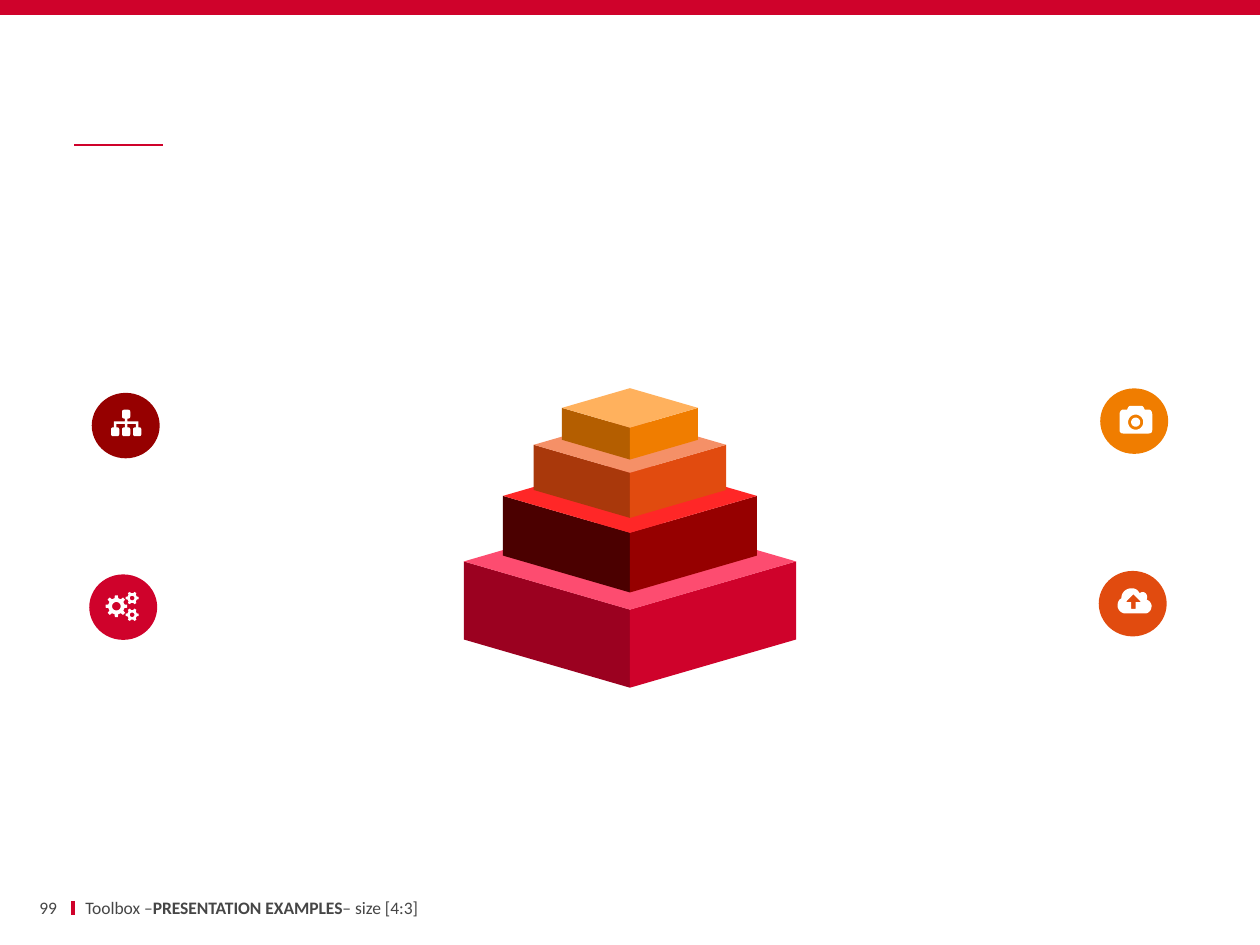
from dataclasses import dataclass
from math import cos, pi, sin

from lxml.etree import SubElement
from pptx import Presentation
from pptx.dml.color import RGBColor
from pptx.enum.shapes import MSO_CONNECTOR, MSO_SHAPE
from pptx.enum.text import MSO_ANCHOR, PP_ALIGN
from pptx.oxml.ns import qn
from pptx.util import Cm, Pt


@dataclass(frozen=True)
class Theme:
    font: str = "Calibri"
    footer_size: int = 10
    text: str = "464646"
    white: str = "FFFFFF"
    crimson: str = "CF022B"
    maroon: str = "960000"
    rust: str = "E14B0F"
    orange: str = "F07D00"


THEME = Theme()
SLIDE_WIDTH, SLIDE_HEIGHT = 25.4, 19.05
BADGE_WIDTH, BADGE_HEIGHT = 1.37, 1.32
ICON_UNIT = 0.0254  # cm per step of the icon drawing grid

# Front top corner y, half width, then left, right and top face colours
TIERS = [
    (12.29, 3.35, "9B0120", THEME.crimson, "FD4C70"),
    (10.74, 2.56, "4B0000", THEME.maroon, "FF2727"),
    (9.53, 1.94, "A9380B", THEME.rust, "F59067"),
    (8.62, 1.37, "B45E00", THEME.orange, "FFB15D"),
]
TIER_DEPTH, TIER_RISE = 0.29, 0.47  # as shares of the half width


def paint(shape, colour):
    shape.shadow.inherit = False
    shape.fill.solid()
    shape.fill.fore_color.rgb = RGBColor.from_string(colour)
    shape.line.fill.background()


def add_preset(slide, kind, left, top, width, height, colour):
    shape = slide.shapes.add_shape(kind, Cm(left), Cm(top), Cm(width), Cm(height))
    paint(shape, colour)


def add_outline(slide, contours, colour, left=0, top=0, unit=1):
    """Draw closed contours as one shape; inner contours become holes."""
    rings = [[(Cm(left + x * unit), Cm(top + y * unit)) for x, y in ring]
             for ring in contours]
    builder = slide.shapes.build_freeform(*rings[0][0], scale=1.0)
    for index, ring in enumerate(rings):
        if index:
            builder.move_to(*ring[0])
        builder.add_line_segments(ring[1:], close=True)
    paint(builder.convert_to_shape(), colour)


def add_rule(slide, start, end, weight):
    rule = slide.shapes.add_connector(
        MSO_CONNECTOR.STRAIGHT, *(Cm(value) for value in start + end))
    rule.line.color.rgb = RGBColor.from_string(THEME.crimson)
    rule.line.width = Pt(weight)
    SubElement(rule._element.spPr, qn("a:effectLst"))


def add_text(slide, runs, left, top, width, height, align=PP_ALIGN.LEFT, side_inset=0.25):
    """Add one line of text from (wording, bold) runs."""
    frame = slide.shapes.add_textbox(Cm(left), Cm(top), Cm(width), Cm(height)).text_frame
    frame.word_wrap = True
    frame.vertical_anchor = MSO_ANCHOR.MIDDLE
    frame.margin_left = frame.margin_right = Cm(side_inset)
    frame.margin_top = frame.margin_bottom = Cm(0.13)
    paragraph = frame.paragraphs[0]
    paragraph.alignment = align
    for wording, bold in runs:
        run = paragraph.add_run()
        run.text = wording
        run.font.name = THEME.font
        run.font.size = Pt(THEME.footer_size)
        run.font.bold = bold
        run.font.color.rgb = RGBColor.from_string(THEME.text)


def add_tier(slide, front_y, half_width, left_colour, right_colour, top_colour):
    middle = SLIDE_WIDTH / 2
    depth, rise = half_width * TIER_DEPTH, half_width * TIER_RISE
    front, back = (middle, front_y), (middle, front_y - 2 * depth)
    corner_y = front_y - depth
    left, right = (middle - half_width, corner_y), (middle + half_width, corner_y)
    for corner, colour in ((left, left_colour), (right, right_colour)):
        face = [front, corner, (corner[0], corner_y + rise), (middle, front_y + rise)]
        add_outline(slide, [face], colour)
    add_outline(slide, [[front, left, back, right]], top_colour)


def circle(x, y, radius, steps=32):
    return [(x + radius * cos(2 * pi * i / steps), y + radius * sin(2 * pi * i / steps))
            for i in range(steps)]


def gear(x, y, radius, teeth):
    root, pitch = radius * 0.75, 2 * pi / teeth
    profile = [(-0.28, root), (-0.17, radius), (0.17, radius), (0.28, root)]
    return [(x + r * cos((tooth + shift) * pitch), y + r * sin((tooth + shift) * pitch))
            for tooth in range(teeth) for shift, r in profile]


def trace(start, *segments, steps=8):
    """Follow straight (one point) and cubic (three point) segments."""
    points = [start]
    for segment in segments:
        if len(segment) == 1:
            points.append(segment[0])
            continue
        nodes = (points[-1], *segment)
        for t in (i / steps for i in range(1, steps + 1)):
            weights = ((1 - t) ** 3, 3 * t * (1 - t) ** 2, 3 * t * t * (1 - t), t ** 3)
            points.append(tuple(sum(w * node[axis] for w, node in zip(weights, nodes))
                                for axis in (0, 1)))
    return points


def rounded_box(x, y, width=6.5, height=7, radius=1.5):
    right, bottom = x + width, y + height
    corners = [(x + radius, y + radius, 2), (right - radius, y + radius, 3),
               (right - radius, bottom - radius, 0), (x + radius, bottom - radius, 1)]
    return [(cx + radius * cos((quarter + i / 4) * pi / 2),
             cy + radius * sin((quarter + i / 4) * pi / 2))
            for cx, cy, quarter in corners for i in range(5)]


def gears_icon():
    small = [(21, 5), (21, 18.3)]
    return [gear(8.5, 11.5, 8.7, 8), circle(8.5, 11.5, 3.4),
            *(gear(x, y, 5.2, 6) for x, y in small),
            *(circle(x, y, 1.8) for x, y in small)]


def hierarchy_icon():
    branches = [(11, 7), (13, 7), (13, 9.3), (21.7, 9.3), (21.7, 14), (19.7, 14),
                (19.7, 11.3), (13, 11.3), (13, 14), (11, 14), (11, 11.3),
                (4.3, 11.3), (4.3, 14), (2.3, 14), (2.3, 9.3), (11, 9.3)]
    return [branches, rounded_box(8.75, 0), *(rounded_box(x, 14) for x in (0, 8.75, 17.5))]


def cloud_icon():
    cloud = trace(
        (22, 20), [(6, 20)],
        [(3, 20), (0, 17), (0, 14)], [(0, 11), (1, 9), (3, 8)],
        [(3, 3), (7, 0), (11, 0)], [(14, 0), (16, 1), (17.5, 4)],
        [(18, 3.5), (19, 3), (20, 3)], [(22, 3), (23.5, 5), (23.5, 7)],
        [(23.5, 8), (23, 9), (23, 9)], [(25, 9.5), (27, 12), (27, 14)],
        [(27, 18), (24, 20), (22, 20)])
    arrow = [(12.6, 4.8), (18, 10.2), (18, 11), (14.4, 11), (14.4, 16.3),
             (10.8, 16.3), (10.8, 11), (7.2, 11), (7.2, 10.2)]
    return [cloud, arrow]


def camera_icon():
    body = trace(
        (26, 7), [(26, 19)], [(26, 21), (25, 22), (23, 22)],
        [(3, 22)], [(1, 22), (0, 21), (0, 19)],
        [(0, 7)], [(0, 5), (1, 3), (3, 3)],
        [(6, 3)], [(7, 1)], [(7.5, 0.5), (8, 0), (9, 0)],
        [(17, 0)], [(18, 0), (18.5, 0.5), (19, 1)],
        [(20, 3)], [(23, 3)], [(25, 3), (26, 5), (26, 7)])
    return [body, circle(12.8, 13, 6), circle(12.8, 13, 3.6)]


def add_badge(slide, left, top, colour, contours, icon_left, icon_top):
    add_preset(slide, MSO_SHAPE.OVAL, left, top, BADGE_WIDTH, BADGE_HEIGHT, colour)
    add_outline(slide, contours, THEME.white, icon_left, icon_top, ICON_UNIT)


def main():
    presentation = Presentation()
    presentation.slide_width, presentation.slide_height = Cm(SLIDE_WIDTH), Cm(SLIDE_HEIGHT)
    slide = presentation.slides.add_slide(presentation.slide_layouts[6])

    add_rule(slide, (1.47, 18.16), (1.47, 18.44), 2.25)
    add_rule(slide, (1.5, 2.92), (3.28, 2.92), 1)
    add_preset(slide, MSO_SHAPE.RECTANGLE, 0, 0, SLIDE_WIDTH, 0.3, THEME.crimson)

    for tier in TIERS:
        add_tier(slide, *tier)

    add_badge(slide, 1.8, 11.58, THEME.crimson, gears_icon(), 2.13, 11.93)
    add_badge(slide, 1.85, 7.92, THEME.maroon, hierarchy_icon(), 2.24, 8.26)
    add_badge(slide, 22.15, 11.51, THEME.rust, cloud_icon(), 22.53, 11.86)
    add_badge(slide, 22.18, 7.83, THEME.orange, camera_icon(), 22.57, 8.18)

    add_text(slide, [("99", False)], 0.33, 18.06, 0.82, 0.46,
             align=PP_ALIGN.RIGHT, side_inset=0)
    add_text(slide, [("Toolbox –", False), ("PRESENTATION EXAMPLES", True),
                     ("– size [4:3]", False)], 1.47, 18.06, 12.62, 0.46)
    presentation.save("out.pptx")


if __name__ == "__main__":
    main()
